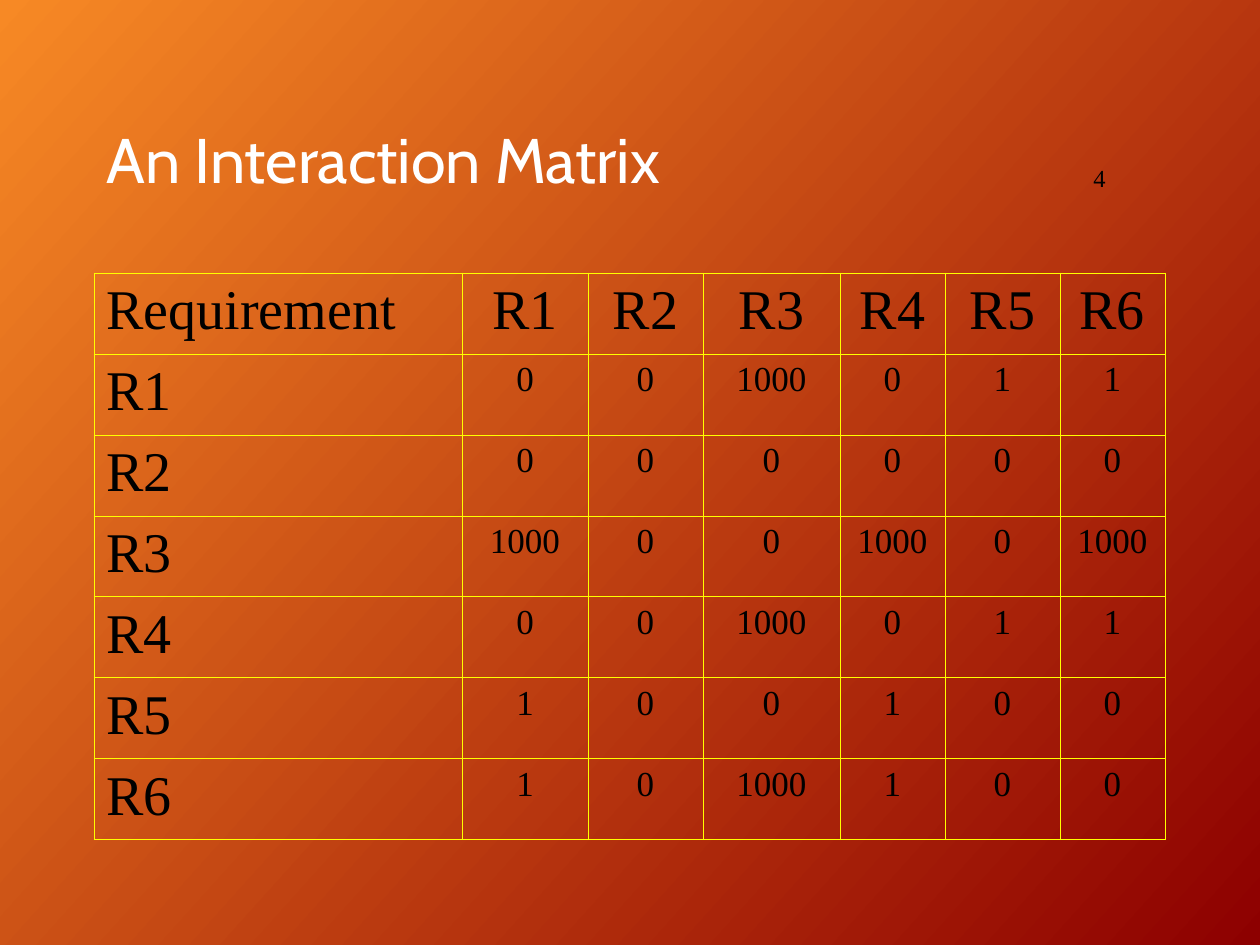
from lxml import etree
from pptx import Presentation, util as u
from pptx.dml.color import RGBColor
from pptx.enum import text
from pptx.oxml.ns import qn

SCALE = u.Inches(1) / 126


def px(n):
    return u.Emu(round(n * SCALE))


def color(code):
    return RGBColor.from_string(code)


class Deck:
    serif = "Times New Roman"
    sans = "Cabin"
    ink = "000000"
    light = "FFFFFF"
    rule = "FFFF00"
    stops = ("F78925", "8D0000")
    tilt = 42

    def __init__(self, wide, high):
        self.prs = Presentation()
        self.prs.slide_width, self.prs.slide_height = px(wide), px(high)
        self.slide = self.prs.slides.add_slide(self.prs.slide_layouts[6])

    def ground(self):
        fill = self.slide.background.fill
        fill.gradient()
        fill.gradient_angle = 360 - self.tilt
        for stop, code in zip(fill.gradient_stops, self.stops):
            stop.color.rgb = color(code)

    def run(self, para, words, size, face, code):
        run = para.add_run()
        run.text = words
        run.font.size = u.Pt(size)
        run.font.name = face
        run.font.color.rgb = color(code)

    def label(self, words, box, size, face, code, lead=1.0):
        frame = self.slide.shapes.add_textbox(*map(px, box)).text_frame
        frame.word_wrap = True
        frame.vertical_anchor = text.MSO_ANCHOR.MIDDLE
        para = frame.paragraphs[0]
        para.line_spacing = lead
        self.run(para, words, size, face, code)

    def edge(self, cell):
        props = cell._tc.get_or_add_tcPr()
        for side in ("lnL", "lnR", "lnT", "lnB"):
            line = etree.SubElement(props, qn("a:" + side), w=str(u.Pt(0.45)))
            fill = etree.SubElement(line, qn("a:solidFill"))
            etree.SubElement(fill, qn("a:srgbClr"), val=self.rule)

    def cell(self, cell, words, size, align):
        self.edge(cell)
        cell.fill.background()
        para = cell.text_frame.paragraphs[0]
        para.alignment = align
        self.run(para, words, size, self.serif, self.ink)

    def table(self, rows, left, top, widths, high):
        box = map(px, (left, top, sum(widths), high * len(rows)))
        grid = self.slide.shapes.add_table(len(rows), len(widths), *box).table
        grid.first_row = grid.horz_banding = False
        for col, wide in zip(grid.columns, widths):
            col.width = px(wide)
        for r, row in enumerate(rows):
            grid.rows[r].height = px(high)
            for c, words in enumerate(row):
                size = 20 if r and c else 32
                align = text.PP_ALIGN.CENTER if c else text.PP_ALIGN.LEFT
                self.cell(grid.cell(r, c), words, size, align)


def main():
    names = [f"R{n}" for n in range(1, 7)]
    scores = [
        (0, 0, 1000, 0, 1, 1),
        (0, 0, 0, 0, 0, 0),
        (1000, 0, 0, 1000, 0, 1000),
        (0, 0, 1000, 0, 1, 1),
        (1, 0, 0, 1, 0, 0),
        (1, 0, 1000, 1, 0, 0),
    ]
    rows = [["Requirement", *names]]
    rows += [[name, *map(str, line)] for name, line in zip(names, scores)]

    deck = Deck(1260, 945)
    deck.ground()
    deck.label("An Interaction Matrix", (94, 84, 1071, 158), 36, deck.sans, deck.light, 0.9)
    deck.table(rows, 94, 273, (368, 126, 115, 137, 105, 115, 105), 81)
    deck.label("4", (1081, 103, 160, 150), 14, deck.serif, deck.ink)
    deck.prs.save("out.pptx")


if __name__ == "__main__":
    main()
